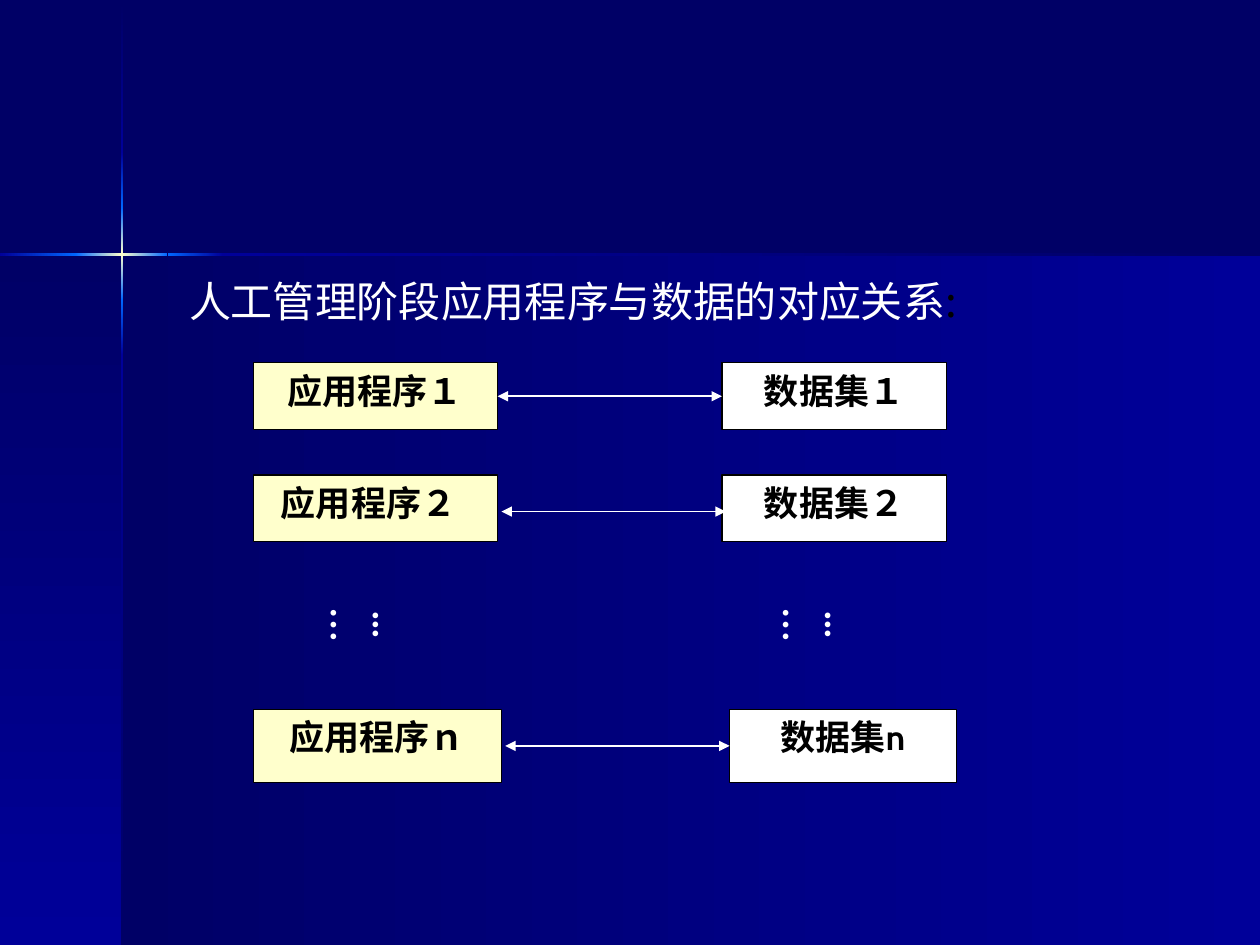
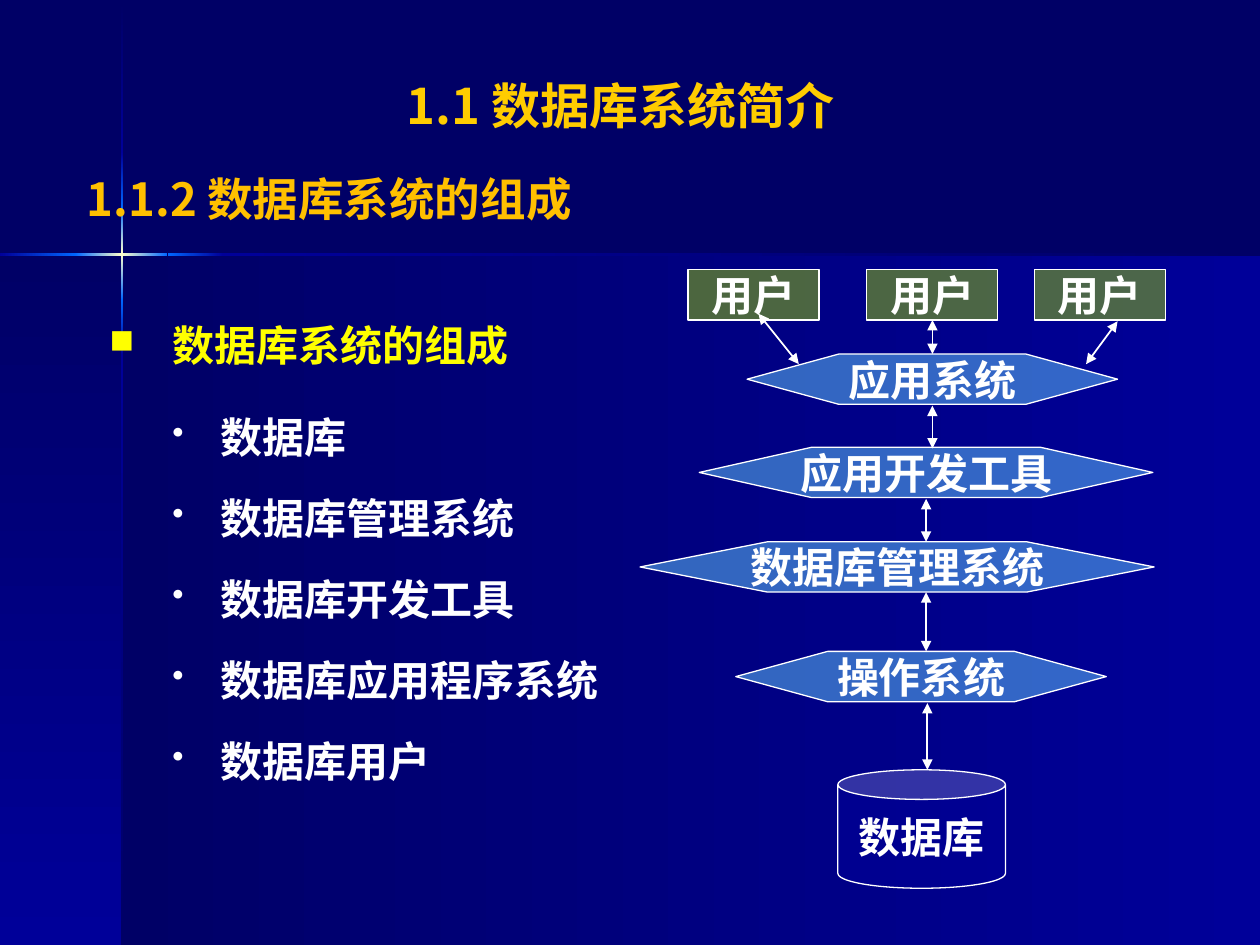
from lxml.etree import SubElement
from pptx import Presentation
from pptx.dml.color import RGBColor
from pptx.enum.shapes import MSO_CONNECTOR, MSO_SHAPE as Shape
from pptx.enum.text import MSO_ANCHOR as Anchor, MSO_AUTO_SIZE as AutoSize, PP_ALIGN as Align
from pptx.oxml.ns import qn
from pptx.util import Inches, Pt

COLUMNS, ROWS = 100, 75
SANS, SERIF, LATIN = "Noto Sans CJK SC", "Times New Roman", "Cabin"
NAVY, BLUE, AZURE, GLOW = "000066", "000099", "0066FF", "FFFFCC"
WHITE, BLACK, YELLOW, GOLD, AMBER = "FFFFFF", "000000", "FFFF00", "FFCC00", "FFC000"
LIME, SKY = "99CC00", "66CCFF"


def rgb(colour):
    return RGBColor.from_string(colour)


def child(parent, tag, **attributes):
    return SubElement(parent, qn(tag), {key: str(value) for key, value in attributes.items()})


class Deck:
    """Holds the shared style and the slide being filled; lengths are grid columns and rows."""

    def __init__(self):
        self.presentation = Presentation()
        self.presentation.slide_width = Inches(10)
        self.presentation.slide_height = Inches(7.5)
        self.column = self.presentation.slide_width / COLUMNS
        self.row = self.presentation.slide_height / ROWS
        self.slide = None

    def new_slide(self):
        layout = self.presentation.slide_layouts.get_by_name("Title Only")
        self.slide = self.presentation.slides.add_slide(layout)

    def place(self, left, top, width, height):
        return (round(left * self.column), round(top * self.row),
                round(width * self.column), round(height * self.row))

    def style(self, paragraph, size, colour, font=SANS, bold=True, align=Align.LEFT):
        paragraph.alignment = align
        paragraph.font.size = Pt(size)
        paragraph.font.bold = bold
        paragraph.font.color.rgb = rgb(colour)
        paragraph.font.name = font
        defaults = paragraph._p.get_or_add_pPr().find(qn("a:defRPr"))
        child(defaults, "a:ea", typeface=SANS)

    def title(self, box, text, size, colour, indent=1, **style):
        heading = self.slide.shapes.title
        heading.left, heading.top, heading.width, heading.height = self.place(*box)
        frame = heading.text_frame
        frame.auto_size = AutoSize.NONE
        frame.vertical_anchor = Anchor.TOP
        frame.margin_left = round(indent * self.column)
        frame.text = text
        self.style(frame.paragraphs[0], size, colour, **style)
        return frame.paragraphs[0]

    def text_box(self, box):
        frame = self.slide.shapes.add_textbox(*self.place(*box)).text_frame
        frame.word_wrap = True
        frame.auto_size = AutoSize.SHAPE_TO_FIT_TEXT
        return frame

    def line_of_text(self, box, text, size, colour):
        frame = self.text_box(box)
        frame.text = text
        self.style(frame.paragraphs[0], size, colour)

    def vertical_dots(self, box):
        frame = self.text_box(box)
        frame.margin_left = frame.margin_right = Inches(0.05)
        frame.margin_top = frame.margin_bottom = Inches(0.1)
        frame._txBody.bodyPr.set("vert", "eaVert")
        frame.text = "...…"
        self.style(frame.paragraphs[0], 20, WHITE, SERIF, align=Align.CENTER)

    def bullet(self, paragraph, text, mark, colour, margin, hanging, align=Align.LEFT):
        paragraph.text = text
        properties = paragraph._p.get_or_add_pPr()
        properties.set("marL", str(Inches(margin)))
        properties.set("indent", str(-Inches(hanging)))
        child(child(properties, "a:buClr"), "a:srgbClr", val=colour)
        child(properties, "a:buSzPct", val=80000)
        child(properties, "a:buChar", char=mark)
        self.style(paragraph, 24, colour, align=align)

    def shape(self, kind, box):
        figure = self.slide.shapes.add_shape(kind, *self.place(*box))
        figure.shadow.inherit = False
        return figure

    def block(self, kind, box, text, size, fill, ink, font=SERIF, alpha=None):
        """Draw an outlined, labelled shape; the outline has the ink colour."""
        figure = self.shape(kind, box)
        figure.fill.solid()
        figure.fill.fore_color.rgb = rgb(fill)
        if alpha:
            tint = figure.element.spPr.find(qn("a:solidFill")).find(qn("a:srgbClr"))
            child(tint, "a:alpha", val=alpha * 1000)
        figure.line.color.rgb = rgb(ink)
        figure.line.width = Pt(0.75)
        frame = figure.text_frame
        frame.word_wrap = False
        frame.text = text
        self.style(frame.paragraphs[0], size, ink, font, align=Align.CENTER)
        return figure

    def arrow(self, start, end, start_side=None, end_side=None):
        """Draw a double arrow; a side is a (shape, connection site) pair."""
        line = self.slide.shapes.add_connector(
            MSO_CONNECTOR.STRAIGHT, *self.place(*start, *end))
        if start_side:
            line.begin_connect(*start_side)
        if end_side:
            line.end_connect(*end_side)
        line.line.color.rgb = rgb(WHITE)
        line.line.width = Pt(1)
        for tip in ("a:headEnd", "a:tailEnd"):
            child(line.line._get_or_add_ln(), tip, type="triangle")
        child(line.element.spPr, "a:effectLst")

    def gradient(self, box, colours, angle):
        """Draw a borderless rectangle with evenly spaced colour stops."""
        panel = self.shape(Shape.RECTANGLE, box)
        panel.line.fill.background()
        properties = panel.element.spPr
        fill = child(properties, "a:gradFill", rotWithShape=1)
        stops = child(fill, "a:gsLst")
        for index, colour in enumerate(colours):
            stop = child(stops, "a:gs", pos=100000 * index // (len(colours) - 1))
            child(stop, "a:srgbClr", val=colour)
        child(fill, "a:lin", ang=angle * 60000, scaled=0)
        properties.find(qn("a:prstGeom")).addnext(fill)
        return panel

    def backdrop(self):
        """Put the panels and the glowing cross on the slide master."""
        master = self.presentation.slide_master
        master.background.fill.solid()
        master.background.fill.fore_color.rgb = rgb(NAVY)
        panels = [self.gradient((9.7, 20.2, 90.3, 54.8), (NAVY, BLUE), 0),
                  self.gradient((0, 20.2, 9.7, 54.8), (NAVY, BLUE), 90)]
        upright = [(0.1, 12.1, (NAVY, BLUE)), (28.2, 75, (BLUE, NAVY)),
                   (23.8, 28.2, (AZURE, BLUE)), (12.1, 16.5, (BLUE, AZURE)),
                   (16.5, 23.8, (AZURE, GLOW, AZURE))]
        level = [(17.7, 100, (BLUE, NAVY)), (0, 6.1, (BLUE, AZURE)),
                 (13.3, 17.7, (AZURE, BLUE)), (6, 13.3, (AZURE, GLOW, AZURE))]
        panels += [self.gradient((9.6, start, 0.2, end - start), colours, 90)
                   for start, end, colours in upright]
        panels += [self.gradient((start, 20.1, end - start, 0.2), colours, 0)
                   for start, end, colours in level]
        for position, panel in enumerate(panels, 2):
            master.shapes.element.insert(position, panel.element)


class_of_line = None


def draw_correspondence(deck):
    heading = deck.title((9, 20.2, 87.4, 7), "人工管理阶段应用程序与数据的对应关系",
                         24, WHITE, indent=6, bold=False)
    heading.line_spacing = 1.3
    colon = heading.add_run()
    colon.text = ":"
    colon.font.color.rgb = rgb(BLACK)

    pairs = [("应用程序１", "数据集１", 28.8, 19.4, 57.3, 17.8, 5.3),
             ("应用程序２", "数据集２", 37.7, 19.4, 57.3, 17.8, 5.3),
             ("应用程序ｎ", "数据集n", 56.3, 19.7, 57.9, 18, 5.8)]
    programs, datasets = [], []
    for program, dataset, top, program_width, dataset_left, dataset_width, height in pairs:
        programs.append(deck.block(Shape.RECTANGLE, (20.1, top, program_width, height),
                                   program, 20, GLOW, BLACK))
        datasets.append(deck.block(Shape.RECTANGLE, (dataset_left, top, dataset_width, height),
                                   dataset, 20, WHITE, BLACK, LATIN))
    for label in programs + datasets:
        label.text_frame.word_wrap = True
        label.text_frame.vertical_anchor = Anchor.TOP
    programs[1].text_frame.paragraphs[0].alignment = Align.LEFT
    programs[1].text_frame.margin_left = Inches(0.22)

    for left in (27.6, 63.5):
        deck.vertical_dots((left, 47.2, 5.3, 6.7))
    deck.arrow((39.5, 31.4), (57.3, 31.5), (programs[0], 3), (datasets[0], 1))
    deck.arrow((39.8, 40.6), (57.6, 40.6))
    deck.arrow((40.1, 59.2), (57.9, 59.3), end_side=(datasets[2], 1))


def draw_composition(deck):
    deck.title((6.7, 5.5, 85.1, 5.7), "1.1 数据库系统简介", 28, GOLD, align=Align.CENTER)
    deck.line_of_text((5.9, 13.1, 89.8, 5.4), "1.1.2 数据库系统的组成", 26, AMBER)

    parts = deck.text_box((7.7, 24.1, 43.9, 38.8))
    topic = parts.paragraphs[0]
    deck.bullet(topic, "数据库系统的组成", "■", YELLOW, 0.5, 0.5)
    topic.line_spacing = 1.2
    topic.space_after = Pt(6)
    for part in ("数据库", "数据库管理系统", "数据库开发工具", "数据库应用程序系统", "数据库用户"):
        item = parts.add_paragraph()
        item.level = 1
        deck.bullet(item, part, "•", WHITE, 0.88, 0.38, Align.JUSTIFY)
        item.line_spacing = 1.4
        item.space_before = Pt(6)

    users = [deck.block(Shape.RECTANGLE, (left, 21.4, 10.4, 4), "用户", 24, LIME, WHITE, alpha=50)
             for left in (54.6, 68.8, 82.1)]
    layers = [("应用系统", 59.3, 28.1, 29.4), ("应用开发工具", 55.5, 35.5, 36),
              ("数据库管理系统", 50.8, 43, 40.8), ("操作系统", 58.4, 51.7, 29.4)]
    for name, left, top, width in layers:
        layer = deck.block(Shape.HEXAGON, (left, top, width, 4), name, 24, SKY, WHITE, alpha=50)
        layer.adjustments[0] = width * 0.062
    deck.block(Shape.CAN, (66.5, 61.1, 13.3, 9.4), "数据库", 24, BLUE, WHITE, alpha=50)

    deck.arrow((60.2, 24.9), (63.4, 28.9))
    deck.arrow((74, 28.1), (74, 25.4), end_side=(users[1], 2))
    for x, top, bottom in ((74, 32.2, 35.6), (73.5, 39.6, 43), (73.5, 47, 51.7), (73.6, 55.8, 61.1)):
        deck.arrow((x, top), (x, bottom))
    deck.arrow((88.7, 25.5), (86.2, 28.9))


def main():
    deck = Deck()
    deck.new_slide()
    deck.backdrop()
    draw_correspondence(deck)
    deck.new_slide()
    draw_composition(deck)
    deck.presentation.save("out.pptx")


if __name__ == "__main__":
    main()
